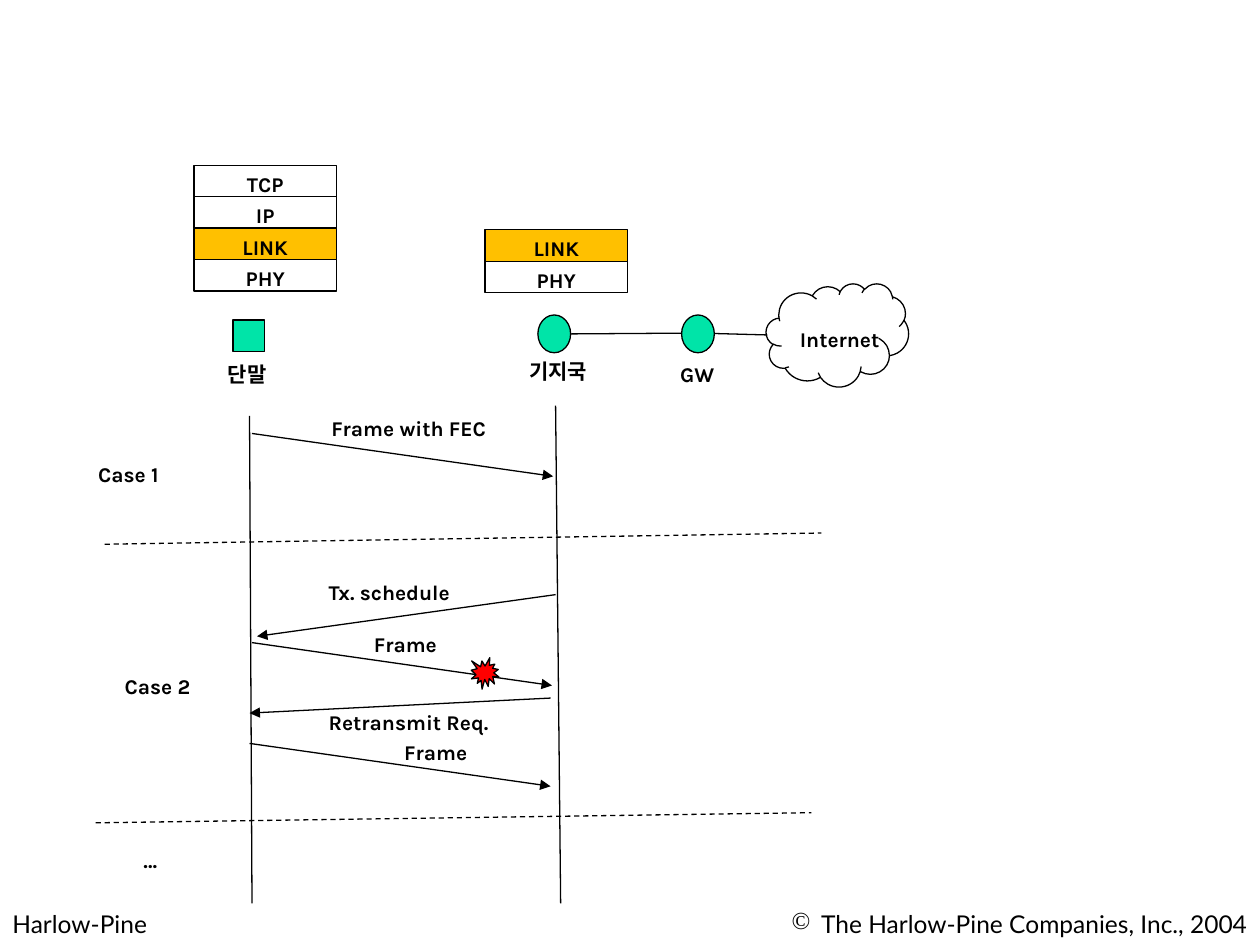
from typing import NamedTuple

from lxml.etree import SubElement
from pptx import Presentation
from pptx.dml.color import RGBColor
from pptx.enum.dml import MSO_LINE
from pptx.enum.shapes import MSO_CONNECTOR, MSO_SHAPE as Geo
from pptx.enum.text import MSO_ANCHOR, PP_ALIGN
from pptx.oxml.ns import qn
from pptx.util import Pt

COLORS = {"ink": "000000", "node": "00E4A8", "link": "FFC000", "error": "FF0000"}
LINE_WIDTH = 0.75
LABEL_HEIGHT = 21.6
LAYER_WIDTH, LAYER_HEIGHT = 81.4, 18


class Label(NamedTuple):
    text: str
    left: float
    top: float
    width: float


class Figure(NamedTuple):
    geo: Geo
    left: float
    top: float
    width: float
    height: float
    fill: str = ""


class Line(NamedTuple):
    x1: float
    y1: float
    x2: float
    y2: float
    arrow: bool = False
    dashed: bool = False


class Stack(NamedTuple):
    left: float
    top: float
    layers: tuple[str, ...]


class Footer(NamedTuple):
    text: str
    left: float
    width: float
    align: PP_ALIGN
    bullet: str = ""


FOOTERS = [
    Footer("Harlow-Pine", 0, 174.2, PP_ALIGN.LEFT),
    Footer("The Harlow-Pine Companies, Inc., 2004", 360, 360, PP_ALIGN.RIGHT, "©"),
]
STACKS = [
    Stack(110.9, 94.4, ("TCP", "IP", "LINK", "PHY")),
    Stack(277.2, 131.3, ("LINK", "PHY")),
]
NODES = [
    Figure(Geo.RECTANGLE, 133.2, 182.9, 18, 18, "node"),
    Figure(Geo.OVAL, 307.4, 180, 18.7, 21.6, "node"),
    Figure(Geo.OVAL, 389.5, 180, 18.7, 21.6, "node"),
    Figure(Geo.CLOUD, 437.8, 162, 81.4, 59),
]
FRAME_ERROR = Figure(Geo.EXPLOSION1, 269.3, 375.8, 15.8, 18, "error")
LINKS = [
    Line(326.2, 190.8, 389.5, 190.4),
    Line(408.2, 190.6, 438.5, 191.4),
]
LIFELINES = [
    Line(142.6, 237.6, 144, 516.2),
    Line(317.5, 231.8, 320.4, 516.2),
]
MESSAGES = [
    Line(144, 247.7, 316.1, 272.2, arrow=True),
    Line(317.5, 339.8, 146.9, 363.6, arrow=True),
    Line(144, 367.2, 315.4, 391.7, arrow=True),
    Line(314.6, 398.9, 142.6, 407.5, arrow=True),
    Line(142.6, 424.8, 314.6, 449.3, arrow=True),
]
CASE_DIVIDERS = [
    Line(59.8, 311, 469.4, 304.6, dashed=True),
    Line(54.7, 470.2, 463.7, 464.4, dashed=True),
]
LABELS = [
    Label("단말", 123.1, 203, 38.9),
    Label("기지국", 295.2, 201.6, 51.1),
    Label("GW", 381.6, 203, 36),
    Label("Internet", 450, 182.9, 65.5),
    Label("Frame with FEC", 182.2, 234, 109.4),
    Label("Tx. schedule", 180.7, 327.6, 90),
    Label("Frame", 206.6, 357.1, 52.6),
    Label("Retransmit Req.", 180.7, 401.8, 113),
    Label("Frame", 223.9, 419, 52.6),
    Label("Case 1", 49, 260, 54.7),
    Label("Case 2", 64.1, 381.6, 54.7),
    Label("…", 74.9, 481, 26.6),
]


def rgb(name: str) -> RGBColor:
    return RGBColor.from_string(COLORS[name])


def add_run(p, text: str, font: str = "Karla", size: float = 12, bold: bool = True) -> None:
    r = p.add_run()
    r.text = text
    r.font.name, r.font.size, r.font.bold = font, Pt(size), bold
    r.font.color.rgb = rgb("ink")


def style_line(line) -> None:
    line.color.rgb = rgb("ink")
    line.width = Pt(LINE_WIDTH)


def add_label(s, label: Label) -> None:
    sp = s.shapes.add_textbox(
        Pt(label.left), Pt(label.top), Pt(label.width), Pt(LABEL_HEIGHT))
    sp.text_frame.word_wrap = False
    add_run(sp.text_frame.paragraphs[0], label.text)


def add_figure(s, fig: Figure):
    sp = s.shapes.add_shape(
        fig.geo, Pt(fig.left), Pt(fig.top), Pt(fig.width), Pt(fig.height))
    sp.shadow.inherit = False
    style_line(sp.line)
    if fig.fill:
        sp.fill.solid()
        sp.fill.fore_color.rgb = rgb(fig.fill)
    else:
        sp.fill.background()
    return sp


def add_stack(s, stack: Stack) -> None:
    """Draw protocol layers from top to bottom, with the link layer highlighted."""
    for i, layer in enumerate(stack.layers):
        fill = "link" if layer == "LINK" else ""
        sp = add_figure(s, Figure(Geo.RECTANGLE, stack.left, stack.top + i * LAYER_HEIGHT,
                                  LAYER_WIDTH, LAYER_HEIGHT, fill))
        tf = sp.text_frame
        tf.vertical_anchor = MSO_ANCHOR.TOP
        p = tf.paragraphs[0]
        p.alignment = PP_ALIGN.CENTER
        add_run(p, layer)


def add_line(s, line: Line) -> None:
    cxn = s.shapes.add_connector(
        MSO_CONNECTOR.STRAIGHT, Pt(line.x1), Pt(line.y1), Pt(line.x2), Pt(line.y2))
    style_line(cxn.line)
    if line.dashed:
        cxn.line.dash_style = MSO_LINE.DASH
    if line.arrow:
        SubElement(cxn.line._get_or_add_ln(), qn("a:tailEnd"), type="triangle")
    SubElement(cxn._element.spPr, qn("a:effectLst"))


def add_footer(s, footer: Footer) -> None:
    sp = s.shapes.add_textbox(Pt(footer.left), Pt(516.2), Pt(footer.width), Pt(23.8))
    sp.text_frame.word_wrap = True
    p = sp.text_frame.paragraphs[0]
    p.alignment = footer.align
    if footer.bullet:
        pPr = p._p.get_or_add_pPr()
        pPr.set("marL", str(Pt(17)))
        pPr.set("indent", str(-Pt(17)))
        SubElement(pPr, qn("a:buChar"), char=footer.bullet)
    add_run(p, footer.text, "Lato", 14, False)


def main() -> None:
    prs = Presentation()
    prs.slide_width, prs.slide_height = Pt(720), Pt(540)
    s = prs.slides.add_slide(prs.slide_layouts[6])
    for footer in FOOTERS:
        add_footer(s, footer)
    for stack in STACKS:
        add_stack(s, stack)
    for node in NODES:
        add_figure(s, node)
    for line in LINKS + LIFELINES + MESSAGES + CASE_DIVIDERS:
        add_line(s, line)
    add_figure(s, FRAME_ERROR)
    for label in LABELS:
        add_label(s, label)
    prs.save("out.pptx")


if __name__ == "__main__":
    main()
